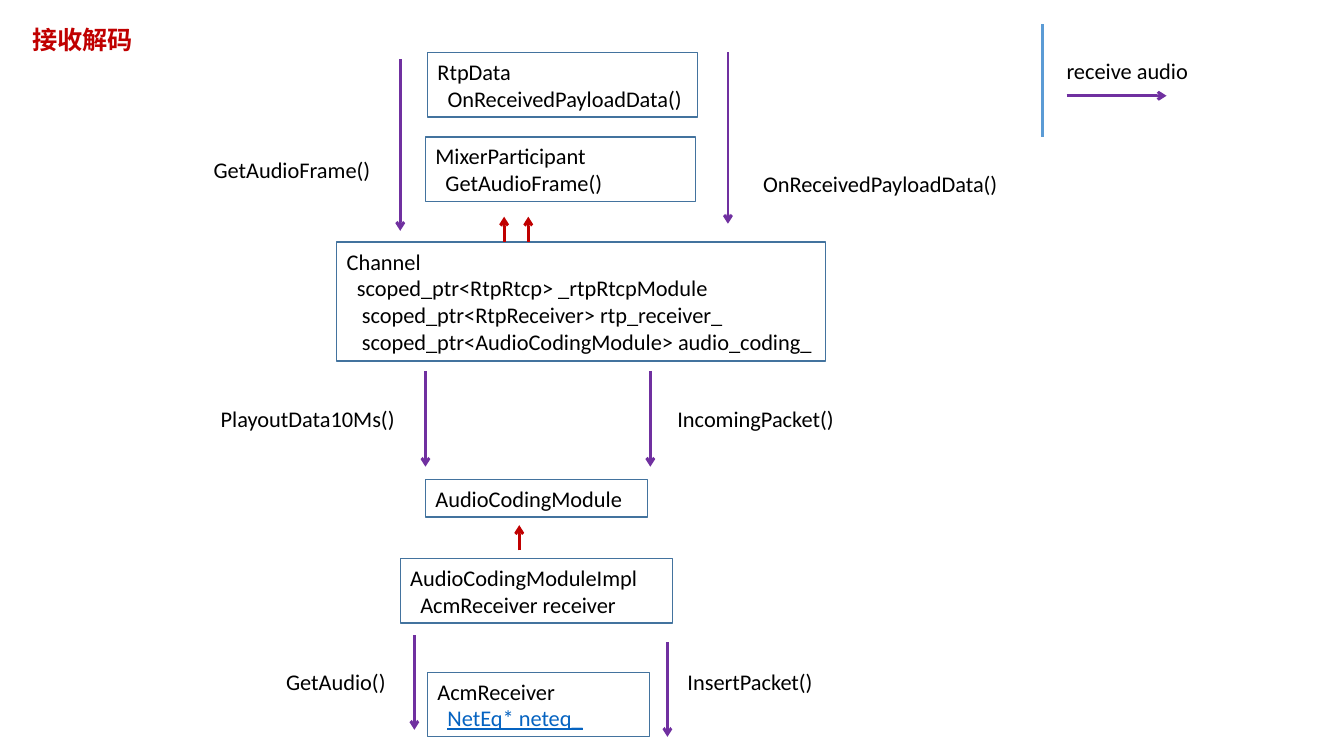
from dataclasses import dataclass

from lxml import etree
from pptx import Presentation
from pptx.dml.color import RGBColor
from pptx.enum.shapes import MSO_CONNECTOR, MSO_SHAPE
from pptx.enum.text import MSO_ANCHOR, MSO_AUTO_SIZE, PP_ALIGN
from pptx.oxml.ns import qn
from pptx.util import Inches, Pt

RECTANGLE = MSO_SHAPE.RECTANGLE
STRAIGHT = MSO_CONNECTOR.STRAIGHT
LEFT = PP_ALIGN.LEFT
TOP, MIDDLE = MSO_ANCHOR.TOP, MSO_ANCHOR.MIDDLE
GROW = MSO_AUTO_SIZE.SHAPE_TO_FIT_TEXT


@dataclass(frozen=True)
class Theme:
    font: str = "Calibri"
    title_size: int = 18
    body_size: int = 16
    text: str = "000000"
    title: str = "C00000"
    link: str = "0563C1"
    border: str = "43739E"
    inherit: str = "C00000"
    receive: str = "7030A0"
    divider: str = "5B9BD5"
    border_width: float = 1
    line_width: float = 2


theme = Theme()


def write_text(shape, lines, size=theme.body_size, color=theme.text,
               bold=False, anchor=TOP, wrap=True, link_line=None):
    """Write (text, indent in inches) lines into a shape."""
    frame = shape.text_frame
    frame.word_wrap = wrap
    frame.auto_size = GROW
    frame.vertical_anchor = anchor
    for index, (text, indent) in enumerate(lines):
        paragraph = frame.paragraphs[0] if index == 0 else frame.add_paragraph()
        paragraph.alignment = LEFT
        if indent:
            properties = paragraph._p.get_or_add_pPr()
            properties.set("marL", str(Inches(indent)))
            properties.set("indent", "0")
        run = paragraph.add_run()
        run.text = text
        run.font.name = theme.font
        run.font.size = Pt(size)
        run.font.bold = bold
        is_link = index == link_line
        run.font.underline = is_link
        run.font.color.rgb = RGBColor.from_string(theme.link if is_link else color)


def add_line(start, end, color, arrow=True):
    """Draw a straight line, with an open arrowhead at its end if wanted."""
    connector = slide.shapes.add_connector(
        STRAIGHT, *[Inches(value) for value in (*start, *end)])
    connector.line.color.rgb = RGBColor.from_string(color)
    connector.line.width = Pt(theme.line_width)
    if arrow:
        etree.SubElement(connector.line._get_or_add_ln(), qn("a:tailEnd"), type="arrow")
    etree.SubElement(connector._element.spPr, qn("a:effectLst"))


presentation = Presentation()
presentation.slide_width = Inches(13.33)
presentation.slide_height = Inches(7.5)
slide = presentation.slides.add_slide(presentation.slide_layouts[6])

# Class boxes: left, top, width, height, lines, index of the linked line
class_boxes = [
    (4.24, 0.52, 2.68, 0.64,
     [("RtpData", 0), ("OnReceivedPayloadData()", 0.1)], None),
    (4.22, 1.36, 2.68, 0.64,
     [("MixerParticipant", 0), ("GetAudioFrame()", 0.1)], None),
    (3.34, 2.4, 4.85, 1.18,
     [("Channel", 0),
      ("scoped_ptr<RtpRtcp> _rtpRtcpModule", 0.1),
      ("scoped_ptr<RtpReceiver> rtp_receiver_", 0.15),
      ("scoped_ptr<AudioCodingModule> audio_coding_", 0.15)], None),
    (4.22, 4.76, 2.2, 0.37, [("AudioCodingModule", 0)], None),
    (3.97, 5.54, 2.7, 0.64,
     [("AudioCodingModuleImpl", 0), ("AcmReceiver receiver", 0.1)], None),
    (4.24, 6.67, 2.2, 0.64,
     [("AcmReceiver", 0), ("NetEq* neteq_", 0.1)], 1),
]
for *bounds, lines, link_line in class_boxes:
    box = slide.shapes.add_shape(RECTANGLE, *[Inches(value) for value in bounds])
    box.shadow.inherit = False
    box.fill.background()
    box.line.color.rgb = RGBColor.from_string(theme.border)
    box.line.width = Pt(theme.border_width)
    write_text(box, lines, anchor=MIDDLE, link_line=link_line)

# Inheritance arrows, pointing up: x, bottom
for x, bottom in [(5, 2.4), (5.24, 2.4), (5.15, 5.46)]:
    add_line((x, bottom), (x, bottom - 0.25), theme.inherit)

# Call arrows, pointing down: x, top, length
call_arrows = [
    (3.97, 0.59, 1.7), (7.22, 0.52, 1.7),
    (4.22, 3.68, 0.95), (6.45, 3.68, 0.95),
    (4.11, 6.3, 0.94), (6.62, 6.37, 0.94),
]
for x, top, length in call_arrows:
    add_line((x, top), (x, top + length), theme.receive)

# Legend
add_line((10.34, 0.24), (10.34, 1.36), theme.divider, arrow=False)
add_line((10.58, 0.95), (11.57, 0.95), theme.receive)

# Title and labels: left, top, width, height, text, format
labels = [
    (0.22, 0.19, 1.23, 0.4, "接收解码",
     {"size": theme.title_size, "color": theme.title, "bold": True}),
    (10.48, 0.52, 1.5, 0.37, "receive audio", {}),
    (2.02, 1.5, 1.76, 0.37, "GetAudioFrame()", {"wrap": False}),
    (7.47, 1.64, 2.58, 0.37, "OnReceivedPayloadData()", {}),
    (2.09, 3.97, 1.95, 0.37, "PlayoutData10Ms()", {}),
    (6.62, 3.97, 1.79, 0.37, "IncomingPacket()", {}),
    (2.74, 6.58, 1.23, 0.37, "GetAudio()", {}),
    (6.72, 6.58, 1.47, 0.37, "InsertPacket()", {}),
]
for *bounds, text, text_format in labels:
    label = slide.shapes.add_textbox(*[Inches(value) for value in bounds])
    write_text(label, [(text, 0)], **text_format)

presentation.save("out.pptx")
